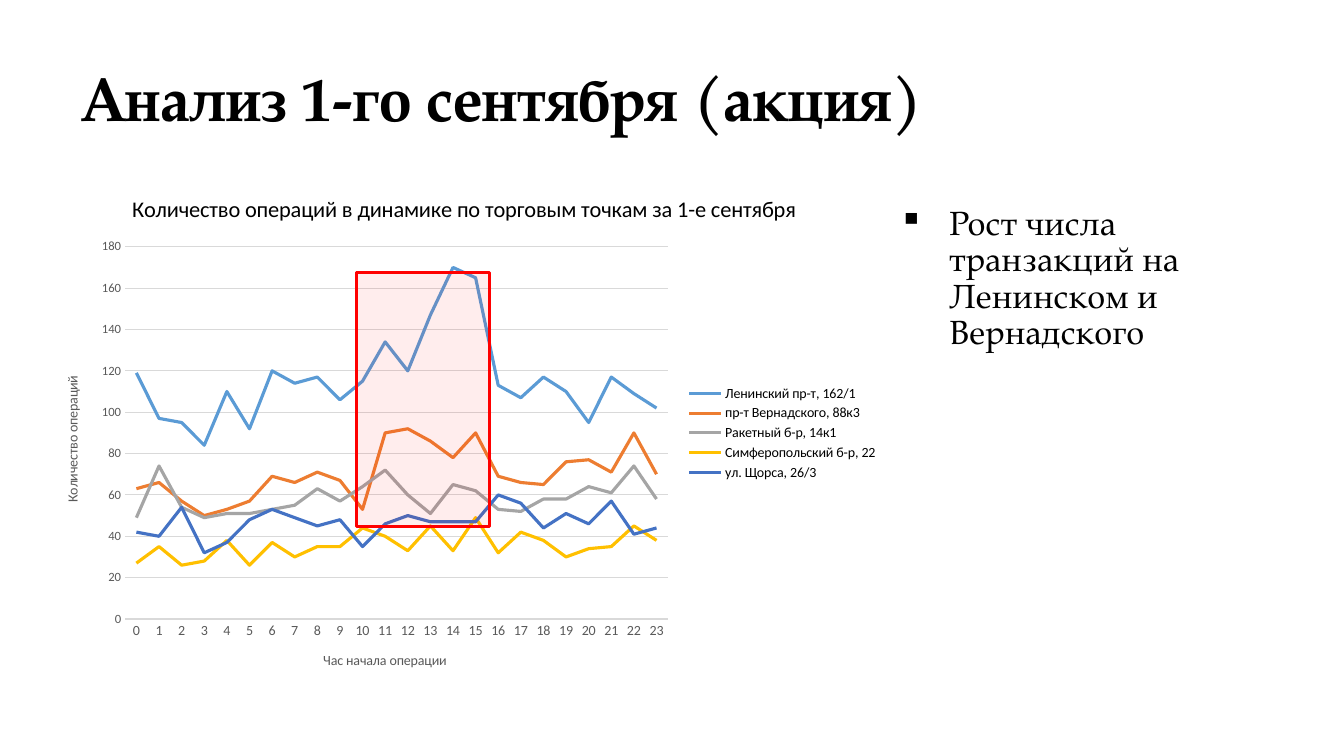
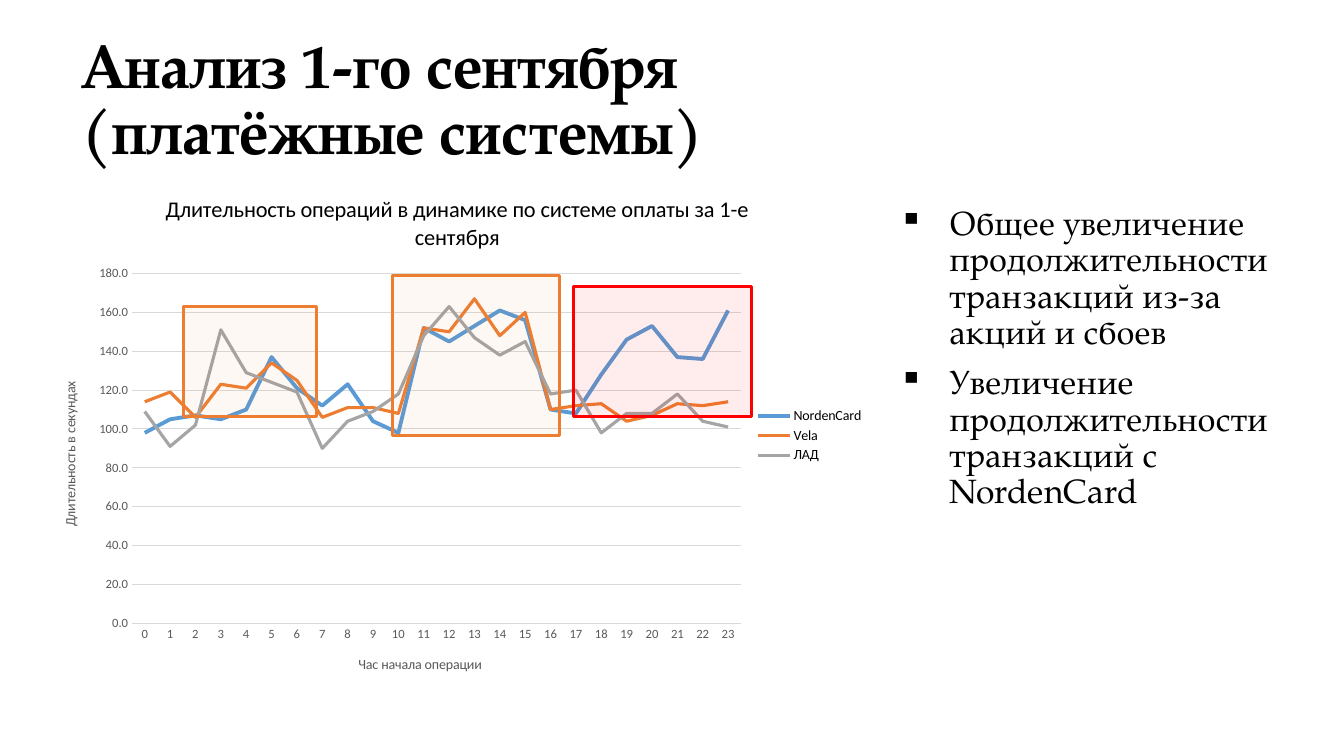
from lxml.etree import SubElement as Sub
from pptx import Presentation
from pptx.chart.data import CategoryChartData as Data
from pptx.dml.color import RGBColor as Rgb
from pptx.enum.chart import XL_CHART_TYPE as Kind, XL_LEGEND_POSITION as Side, XL_TICK_MARK as Tick
from pptx.enum.shapes import MSO_SHAPE as Shape
from pptx.enum.text import MSO_ANCHOR as Anchor
from pptx.oxml.ns import qn
from pptx.util import Inches, Pt

INK = {"black": "000000", "grey": "595959", "rule": "D9D9D9", "red": "FF0000",
       "orange": "ED7D31"}
LINES = ["5B9BD5", "ED7D31", "A5A5A5", "FFC000", "4472C4"]
SERIF, SANS = "TeX Gyre Pagella", "Calibri"
HOURS = [str(hour) for hour in range(24)]


class Deck:
    """Holds the style and the current slide; boxes are in percent of the slide."""

    def __init__(self):
        self.prs = Presentation()
        self.prs.slide_width, self.prs.slide_height = Inches(13.33), Inches(7.5)
        self.page = None

    def place(self, box):
        wide, high = self.prs.slide_width, self.prs.slide_height
        return [int(part * full / 100) for part, full in zip(box, (wide, high) * 2)]

    def style(self, font, size, ink="black", face=SANS, bold=False):
        font.name, font.size, font.bold = face, Pt(size), bold
        font.color.rgb = Rgb.from_string(INK[ink])

    def label(self, owner, text, size, ink="black"):
        frame = owner.text_frame
        frame.text = text
        self.style(frame.paragraphs[0].runs[0].font, size, ink)

    def text(self, box, lines, size, bold=False):
        frame = self.page.shapes.add_textbox(*self.place(box)).text_frame
        frame.word_wrap = True
        frame.text = "\n".join(lines)
        for para in frame.paragraphs:
            para.line_spacing = 0.9
            for run in para.runs:
                self.style(run.font, size, face=SERIF, bold=bold)
        return frame

    def start(self, title):
        self.page = self.prs.slides.add_slide(self.prs.slide_layouts[6])
        frame = self.text((5.3, 3.75, 91.65, 19.33), [title], 44, True)
        frame.vertical_anchor = Anchor.MIDDLE

    def points(self, lines):
        frame = self.text((66.15, 26.67, 30.85, 63.5), lines, 24)
        for i, para in enumerate(frame.paragraphs):
            props = para._p.get_or_add_pPr()
            props.set("marL", str(Inches(0.5)))
            props.set("indent", str(-Inches(0.5)))
            Sub(props, qn("a:buChar")).set("char", "▪")
            if i:
                para.space_before = Pt(10)

    def mark(self, box, ink, alpha):
        rect = self.page.shapes.add_shape(Shape.RECTANGLE, *self.place(box))
        rect.shadow.inherit = False
        rect.fill.solid()
        rect.fill.fore_color.rgb = Rgb.from_string(INK[ink])
        tint = rect._element.spPr.find(qn("a:solidFill"))[0]
        Sub(tint, qn("a:alpha")).set("val", str(alpha * 1000))
        rect.line.color.rgb = Rgb.from_string(INK[ink])
        rect.line.width = Pt(2)

    def axis(self, axis, title, size):
        axis.major_tick_mark = axis.minor_tick_mark = Tick.NONE
        self.style(axis.tick_labels.font, size, "grey")
        self.label(axis.axis_title, title, 10, "grey")

    def chart(self, box, title, unit, rows, area, size=9, form="0", first=2.25):
        data = Data()
        data.categories = HOURS
        for name, vals in rows.items():
            data.add_series(name, vals)
        chart = self.page.shapes.add_chart(Kind.LINE, *self.place(box), data).chart
        self.style(chart.font, 10)
        self.label(chart.chart_title, title, 16)
        chart.chart_title.include_in_layout = False
        chart.has_legend = True
        chart.legend.position = Side.RIGHT
        chart.legend.include_in_layout = False
        self.style(chart.legend.font, 10)

        # Axes
        hours, count = chart.category_axis, chart.value_axis
        self.axis(hours, "Час начала операции", size)
        self.axis(count, unit, 9)
        count.minimum_scale, count.maximum_scale, count.major_unit = 0, 180, 20
        count.tick_labels.number_format = form
        count.tick_labels.number_format_is_linked = False
        count.format.line.fill.background()
        for line in (hours.format.line, count.major_gridlines.format.line):
            line.color.rgb = Rgb.from_string(INK["rule"])
            line.width = Pt(0.75)

        # Lines
        plot = chart.plots[0]
        plot.vary_by_categories = False
        for i, (row, ink) in enumerate(zip(plot.series, LINES)):
            row.smooth = False
            row.format.line.color.rgb = Rgb.from_string(ink)
            row.format.line.width = Pt(2.25 if i else first)

        # Plot area, as shares of the chart
        field = chart._chartSpace.chart.plotArea
        for old in field.findall(qn("c:layout")):
            field.remove(old)
        outer = Sub(field, qn("c:layout"))
        field.insert(0, outer)
        spot = Sub(outer, qn("c:manualLayout"))
        tags = ("layoutTarget", "xMode", "yMode", "x", "y", "w", "h")
        for tag, val in zip(tags, ("inner", "edge", "edge", *area)):
            Sub(spot, qn("c:" + tag)).set("val", str(val))


SHOPS = {
    "Ленинский пр-т, 162/1": [119, 97, 95, 84, 110, 92, 120, 114, 117, 106, 115, 134,
                              120, 147, 170, 165, 113, 107, 117, 110, 95, 117, 109, 102],
    "пр-т Вернадского, 88к3": [63, 66, 57, 50, 53, 57, 69, 66, 71, 67, 53, 90,
                               92, 86, 78, 90, 69, 66, 65, 76, 77, 71, 90, 70],
    "Ракетный б-р, 14к1": [49, 74, 54, 49, 51, 51, 53, 55, 63, 57, 64, 72,
                           60, 51, 65, 62, 53, 52, 58, 58, 64, 61, 74, 58],
    "Симферопольский б-р, 22": [27, 35, 26, 28, 38, 26, 37, 30, 35, 35, 44, 40,
                                33, 45, 33, 49, 32, 42, 38, 30, 34, 35, 45, 38],
    "ул. Щорса, 26/3": [42, 40, 54, 32, 37, 48, 53, 49, 45, 48, 35, 46,
                        50, 47, 47, 47, 60, 56, 44, 51, 46, 57, 41, 44],
}
CARDS = {
    "NordenCard": [98, 105, 107, 105, 110, 137, 121, 112, 123, 104, 98, 152,
                   145, 153, 161, 156, 110, 108, 128, 146, 153, 137, 136, 161],
    "Vela": [114, 119, 106, 123, 121, 134, 125, 106, 111, 111, 108, 152,
             150, 167, 148, 160, 110, 112, 113, 104, 107, 113, 112, 114],
    "ЛАД": [109, 91, 102, 151, 129, 124, 119, 90, 104, 109, 118, 148,
            163, 147, 138, 145, 118, 120, 98, 108, 108, 118, 104, 101],
}


def main():
    deck = Deck()

    # Sales by shop
    deck.start("Анализ 1-го сентября (акция)")
    deck.chart((3, 23.07, 63.1, 68.4),
               "Количество операций в динамике по торговым точкам за 1-е сентября",
               "Количество операций", SHOPS, (0.1, 0.14, 0.64, 0.72), size=10)
    deck.mark((26.5, 36, 9.9, 33.6), "red", 7)
    deck.points(["Рост числа транзакций на Ленинском и Вернадского"])

    # Time by payment system
    deck.start("Анализ 1-го сентября \v(платёжные системы)")
    deck.chart((3, 23.07, 62.05, 69.05),
               "Длительность операций в динамике по системе оплаты за 1-е сентября",
               "Длительность в секундах", CARDS, (0.11, 0.19, 0.73, 0.67),
               form="0.0", first=2.75)
    deck.mark((13.65, 40.55, 9.9, 14.55), "orange", 5)
    deck.mark((29.2, 36.4, 12.45, 21.2), "orange", 5)
    deck.mark((42.7, 37.85, 13.2, 17.2), "red", 7)
    deck.points(["Общее увеличение продолжительности транзакций из-за акций и сбоев",
                 "Увеличение продолжительности транзакций с NordenCard"])

    deck.prs.save("out.pptx")


if __name__ == "__main__":
    main()
